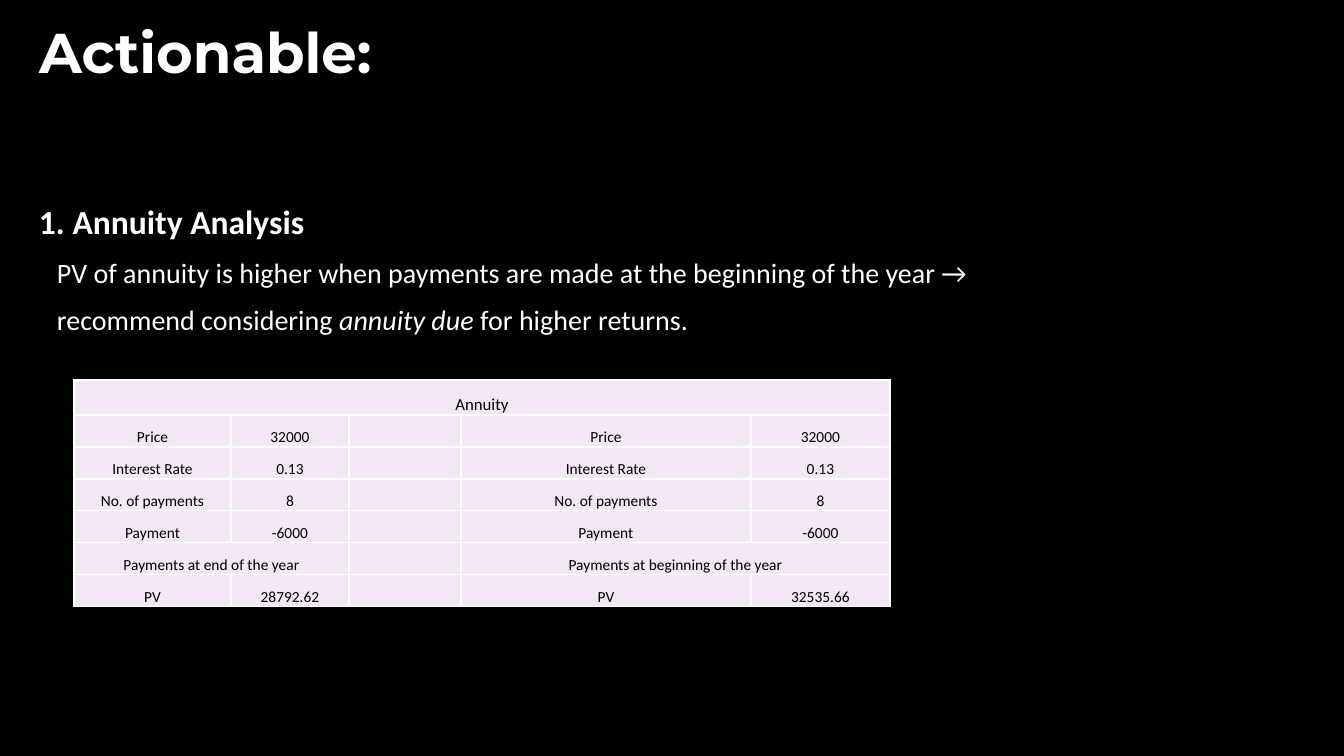
from dataclasses import dataclass

from lxml.etree import SubElement
from pptx import Presentation
from pptx.dml.color import RGBColor as Rgb
from pptx.enum.text import MSO_ANCHOR as Anchor, MSO_AUTO_SIZE as Fit, PP_ALIGN as Align
from pptx.oxml.ns import qn
from pptx.util import Emu, Pt


@dataclass(frozen=True)
class Theme:
    back: str = "000000"
    light: str = "FFFFFF"
    dark: str = "000000"
    cell: str = "F1E8F4"
    display: str = "Montserrat"
    text: str = "Calibri"
    title: int = 40
    head: int = 24
    body: int = 20
    caption: int = 12
    data: int = 11
    gap: int = 10


THEME = Theme()
COLS = [157, 118, 112, 290, 139]
ROWS = [35] + [32] * 6
TERMS = [("Price", "32000"), ("Interest Rate", "0.13"),
         ("No. of payments", "8"), ("Payment", "-6000")]
CELLS = [
    ["Annuity", "", "", "", ""],
    *[[name, value, "", name, value] for name, value in TERMS],
    ["Payments at end of the year", "", "", "Payments at beginning of the year", ""],
    ["PV", "28792.62", "", "PV", "32535.66"],
]
SPANS = [(0, 0, 4), (5, 0, 1), (5, 3, 4)]  # row, first column, last column


def px(n):
    return Emu(round(n * 914400 / 100.8))


def style(run, size, color, font=THEME.text, bold=False, italic=False):
    face = run.font
    face.name, face.size = font, Pt(size)
    face.bold, face.italic = bold, italic
    face.color.rgb = Rgb.from_string(color)


def add_title(slide, text, box):
    title = slide.shapes.title
    title.left, title.top, title.width, title.height = map(px, box)
    frame = title.text_frame
    frame.text = text
    frame.auto_size = Fit.NONE
    frame.vertical_anchor = Anchor.MIDDLE
    para = frame.paragraphs[0]
    para.alignment = Align.LEFT
    style(para.runs[0], THEME.title, THEME.light, THEME.display, bold=True)


def add_point(slide, head, lines, box, indent):
    """Add a bold heading over indented lines, each a list of (text, italic)."""
    frame = slide.shapes.add_textbox(*map(px, box)).text_frame
    frame.word_wrap = True
    frame.text = head
    first = frame.paragraphs[0]
    first.space_after = Pt(THEME.gap)
    style(first.runs[0], THEME.head, THEME.light, bold=True)
    for line in lines:
        para = frame.add_paragraph()
        para.space_after = Pt(THEME.gap)
        para._p.get_or_add_pPr().set("marL", str(px(indent)))
        for text, italic in line:
            run = para.add_run()
            run.text = text
            style(run, THEME.body, THEME.light, italic=italic)


def add_edges(cell):
    props = cell._tc.get_or_add_tcPr()
    for side in ("lnL", "lnR", "lnT", "lnB"):
        line = SubElement(props, qn(f"a:{side}"), w=str(Pt(1)))
        fill = SubElement(line, qn("a:solidFill"))
        SubElement(fill, qn("a:srgbClr"), val=THEME.light)


def fill_cell(cell, text, size):
    cell.margin_left = cell.margin_right = cell.margin_top = px(1)
    cell.margin_bottom = 0
    cell.vertical_anchor = Anchor.BOTTOM
    add_edges(cell)
    cell.fill.solid()
    cell.fill.fore_color.rgb = Rgb.from_string(THEME.cell)
    cell.text_frame.text = text
    para = cell.text_frame.paragraphs[0]
    para.alignment = Align.CENTER
    for run in para.runs:
        style(run, size, THEME.dark)


def add_grid(slide, left, top):
    box = map(px, (left, top, sum(COLS), sum(ROWS)))
    table = slide.shapes.add_table(len(ROWS), len(COLS), *box).table
    table.first_row = table.horz_banding = False
    for col, width in zip(table.columns, COLS):
        col.width = px(width)
    for r, (row, height) in enumerate(zip(table.rows, ROWS)):
        row.height = px(height)
        size = THEME.data if r else THEME.caption
        for cell, text in zip(row.cells, CELLS[r]):
            fill_cell(cell, text, size)
    for r, start, end in SPANS:
        table.cell(r, start).merge(table.cell(r, end))


def main():
    deck = Presentation()
    deck.slide_width, deck.slide_height = px(1344), px(756)
    slide = deck.slides.add_slide(deck.slide_layouts[5])
    back = slide.background.fill
    back.solid()
    back.fore_color.rgb = Rgb.from_string(THEME.back)
    add_title(slide, "Actionable:", (29, 11, 1117, 81))
    lines = [
        [("PV of annuity is higher when payments are made at the beginning of the year →", False)],
        [("recommend considering ", False), ("annuity due", True),
         (" for higher returns.", False)],
    ]
    add_point(slide, "1. Annuity Analysis", lines, (29, 196, 1117, 160), 18)
    add_grid(slide, 74, 380)
    deck.save("out.pptx")


if __name__ == "__main__":
    main()
